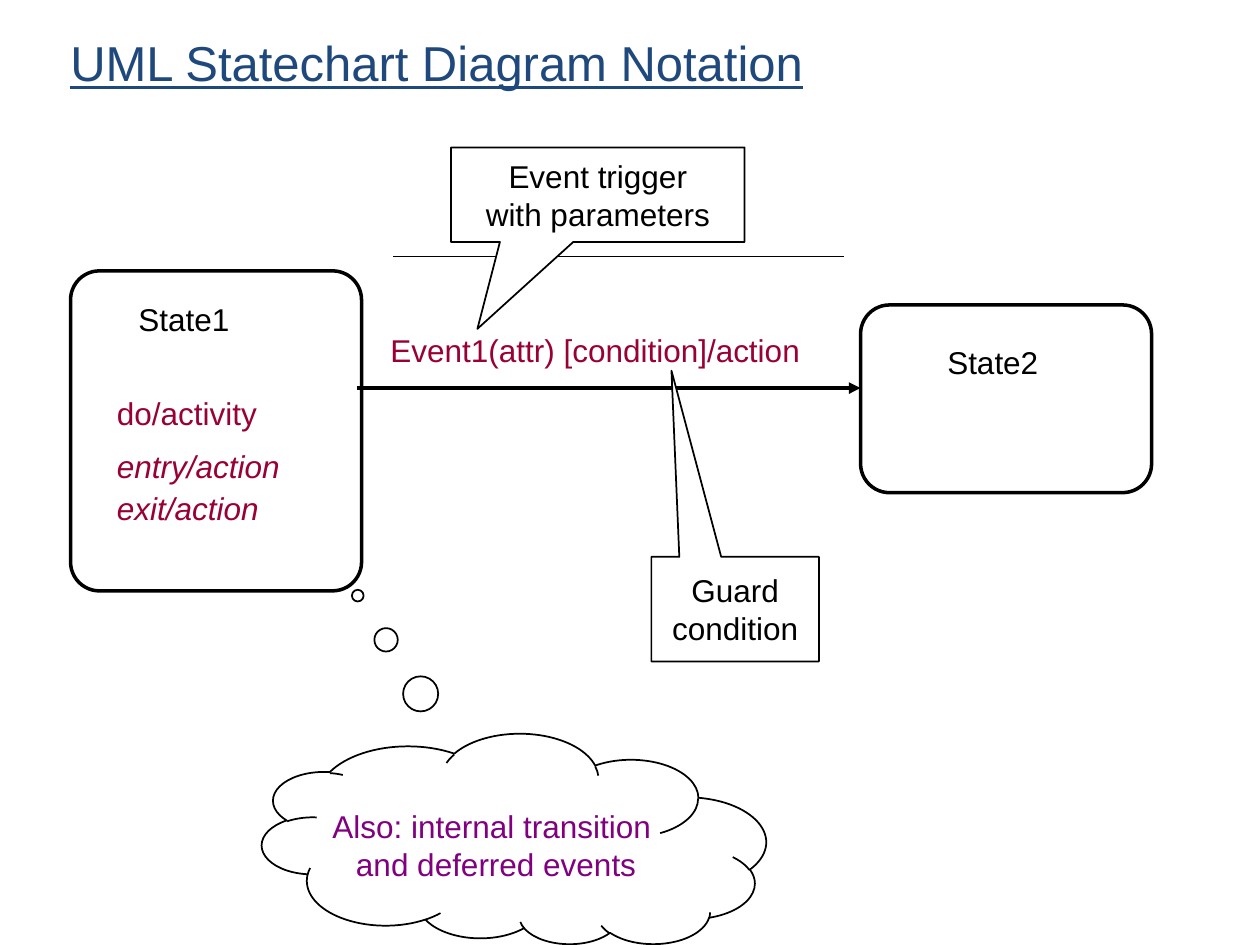
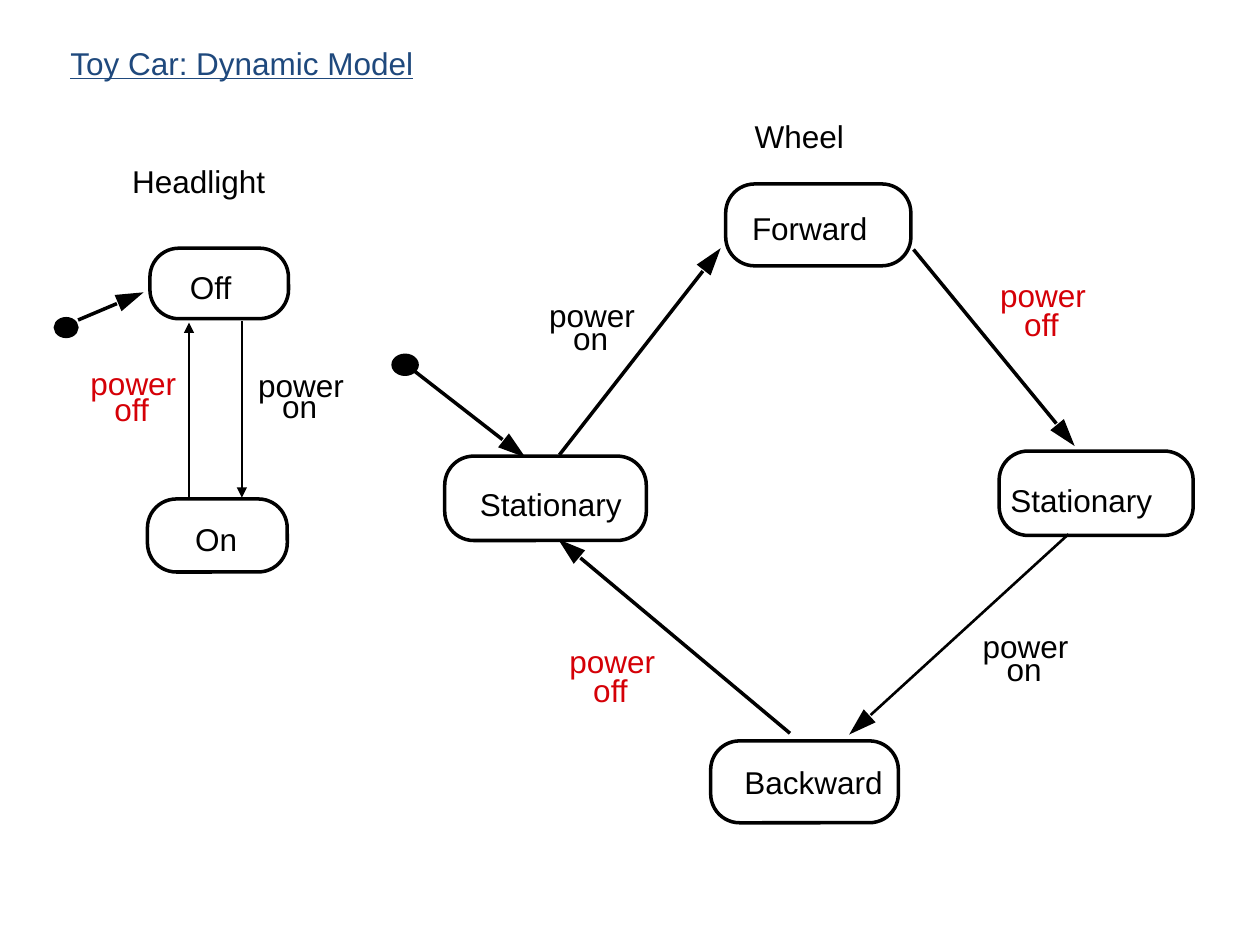
from dataclasses import dataclass
from math import hypot

from lxml.etree import SubElement
from pptx import Presentation
from pptx.dml.color import RGBColor
from pptx.enum.shapes import MSO_CONNECTOR, MSO_SHAPE
from pptx.enum.text import MSO_ANCHOR, MSO_AUTO_SIZE, PP_ALIGN
from pptx.oxml.ns import qn
from pptx.shapes.autoshape import Shape
from pptx.shapes.connector import Connector
from pptx.slide import Slide
from pptx.text.text import TextFrame
from pptx.util import Inches, Pt

FONT = "Arial"
BLACK = "000000"
WHITE = "FFFFFF"
NAVY = "1F497D"
CRIMSON = "990033"
PURPLE = "800080"
RED = "D50007"
CORNER_RADIUS = 0.23
HEAD_LENGTH = 0.22
HEAD_HALF_WIDTH = 0.07

Point = tuple[float, float]


@dataclass
class Label:
    text: str
    left: float
    top: float
    width: float
    color: str = BLACK
    italic: bool = False


@dataclass
class State:
    left: float
    top: float
    width: float
    height: float
    label: Label
    fill: str | None = None


@dataclass
class Callout:
    shape: MSO_SHAPE
    left: float
    top: float
    width: float
    height: float
    tail: Point
    lines: tuple[str, ...]
    color: str = BLACK
    flipped: bool = False


@dataclass
class PowerLabel:
    """The word "power" with "on" or "off" a little below it."""
    switch: str
    left: float
    top: float
    drop: float


@dataclass
class Transition:
    start: Point
    tip: Point
    weight: float = 2


@dataclass
class InitialState:
    left: float
    top: float
    width: float
    height: float


TITLES = ("UML Statechart Diagram Notation", 28), ("Toy Car: Dynamic Model", 18)

NOTATION_STATES = [
    State(6.83, 2.42, 2.31, 1.49, Label("State2", 7.42, 2.67, 1.2)),
    State(0.56, 2.15, 2.31, 2.54, Label("State1", 1, 2.33, 1.2), WHITE),
]
NOTATION_LABELS = [
    Label("Event1(attr) [condition]/action", 3, 2.58, 3.75, CRIMSON),
    Label("do/activity", 0.83, 3.08, 1.43, CRIMSON),
    Label("entry/action", 0.83, 3.5, 1.61, CRIMSON, True),
    Label("exit/action", 0.83, 3.83, 1.43, CRIMSON, True),
]
INTERNAL_NOTE = Callout(
    MSO_SHAPE.CLOUD_CALLOUT, 2.08, 5.83, 4, 1.67, (-0.31, 1.16),
    ("Also: internal transition ", "and deferred events"), PURPLE, True)
EVENT_NOTE = Callout(
    MSO_SHAPE.RECTANGULAR_CALLOUT, 3.58, 1.17, 2.33, 0.75, (-0.41, 1.42),
    ("Event trigger", "with parameters"))
GUARD_NOTE = Callout(
    MSO_SHAPE.RECTANGULAR_CALLOUT, 5.17, 4.42, 1.33, 0.83, (-0.38, 2.28),
    ("Guard", "condition"), flipped=True)

CAR_STATES = [
    State(5.76, 1.46, 1.47, 0.65, Label("Forward", 5.87, 1.61, 1.18)),
    State(5.64, 5.88, 1.49, 0.65, Label("Backward", 5.81, 6.01, 1.38)),
    State(3.53, 3.62, 1.6, 0.67, Label("Stationary", 3.71, 3.8, 1.42)),
    State(7.93, 3.58, 1.54, 0.67, Label("Stationary", 7.92, 3.77, 1.42)),
    State(1.19, 1.97, 1.1, 0.56, Label("Off", 1.41, 2.08, 0.56)),
    State(1.17, 3.96, 1.11, 0.58, Label("On", 1.45, 4.08, 0.55)),
]
CAR_HEADINGS = [
    Label("Wheel", 5.89, 0.88, 1.18),
    Label("Headlight", 0.95, 1.24, 1.72),
]
POWER_LABELS = [
    PowerLabel("on", 7.7, 4.93, 0.18),
    PowerLabel("off", 7.84, 2.14, 0.23),
    PowerLabel("off", 4.42, 5.05, 0.23),
    PowerLabel("on", 4.26, 2.3, 0.18),
    PowerLabel("on", 1.95, 2.86, 0.16),
    PowerLabel("off", 0.62, 2.84, 0.21),
]
TRANSITIONS = [
    Transition((7.25, 1.98), (8.53, 3.54)),
    Transition((8.48, 4.24), (6.74, 5.83), 1.5),
    Transition((4.44, 3.61), (5.72, 1.97)),
    Transition((6.27, 5.82), (4.43, 4.28)),
    Transition((3.27, 2.93), (4.17, 3.63)),
    Transition((0.62, 2.54), (1.14, 2.32)),
]
INITIAL_STATES = [
    InitialState(3.12, 2.82, 0.19, 0.15),
    InitialState(0.44, 2.53, 0.17, 0.14),
]


def rgb(color: str) -> RGBColor:
    return RGBColor.from_string(color)


def style_shape(shape: Shape, fill: str | None, weight: float = 0) -> None:
    shape.shadow.inherit = False
    if fill:
        shape.fill.solid()
        shape.fill.fore_color.rgb = rgb(fill)
    else:
        shape.fill.background()
    if weight:
        shape.line.color.rgb = rgb(BLACK)
        shape.line.width = Pt(weight)
    else:
        shape.line.fill.background()


def write_lines(frame: TextFrame, lines: tuple[str, ...], color: str, size: float = 18,
                italic: bool = False, underline: bool = False,
                align: PP_ALIGN = PP_ALIGN.LEFT) -> None:
    for index, line in enumerate(lines):
        para = frame.add_paragraph() if index else frame.paragraphs[0]
        para.alignment = align
        span = para.add_run()
        span.text = line
        span.font.name = FONT
        span.font.size = Pt(size)
        span.font.color.rgb = rgb(color)
        if italic:
            span.font.italic = True
        if underline:
            span.font.underline = True


def add_title(page: Slide, text: str, size: float) -> None:
    box = page.shapes.add_textbox(Inches(0.46), Inches(0.24), Inches(8.92), Inches(0.51))
    box.text_frame.word_wrap = True
    box.text_frame.vertical_anchor = MSO_ANCHOR.MIDDLE
    write_lines(box.text_frame, (text,), NAVY, size, underline=True)


def add_label(page: Slide, label: Label) -> None:
    box = page.shapes.add_textbox(
        Inches(label.left), Inches(label.top), Inches(label.width), Inches(0.4))
    box.text_frame.word_wrap = False
    box.text_frame.auto_size = MSO_AUTO_SIZE.SHAPE_TO_FIT_TEXT
    write_lines(box.text_frame, (label.text,), label.color, italic=label.italic)


def add_power_label(page: Slide, power: PowerLabel) -> None:
    color = RED if power.switch == "off" else BLACK
    add_label(page, Label("power", power.left, power.top, 0.93, color))
    add_label(page, Label(power.switch, power.left + 0.19, power.top + power.drop, 0.52, color))


def add_state(page: Slide, state: State) -> None:
    shape = page.shapes.add_shape(
        MSO_SHAPE.ROUNDED_RECTANGLE, Inches(state.left), Inches(state.top),
        Inches(state.width), Inches(state.height))
    shape.adjustments[0] = CORNER_RADIUS / min(state.width, state.height)
    style_shape(shape, state.fill, 2)
    add_label(page, state.label)


def add_callout(page: Slide, callout: Callout) -> None:
    shape = page.shapes.add_shape(
        callout.shape, Inches(callout.left), Inches(callout.top),
        Inches(callout.width), Inches(callout.height))
    shape.adjustments[0], shape.adjustments[1] = callout.tail
    style_shape(shape, WHITE, 1)
    frame = shape.text_frame
    frame.word_wrap = False
    frame.vertical_anchor = MSO_ANCHOR.MIDDLE
    if callout.flipped:
        shape._element.spPr.find(qn("a:xfrm")).set("flipV", "1")
        frame._txBody.find(qn("a:bodyPr")).set("rot", "10800000")
    write_lines(frame, callout.lines, callout.color, align=PP_ALIGN.CENTER)


def add_line(page: Slide, start: Point, end: Point, weight: float,
             arrow: bool = False) -> Connector:
    line = page.shapes.add_connector(
        MSO_CONNECTOR.STRAIGHT, *(Inches(value) for value in (*start, *end)))
    line.line.color.rgb = rgb(BLACK)
    line.line.width = Pt(weight)
    if arrow:
        SubElement(line.line._get_or_add_ln(), qn("a:tailEnd"), type="triangle")
    SubElement(line._element.spPr, qn("a:effectLst"))
    return line


def add_transition(page: Slide, transition: Transition) -> None:
    """Draw a shaft and a large slender arrowhead ending at the tip."""
    (start_x, start_y), (tip_x, tip_y) = transition.start, transition.tip
    length = hypot(tip_x - start_x, tip_y - start_y)
    along_x, along_y = (tip_x - start_x) / length, (tip_y - start_y) / length
    base_x, base_y = tip_x - HEAD_LENGTH * along_x, tip_y - HEAD_LENGTH * along_y
    add_line(page, transition.start, (base_x - 0.01 * along_x, base_y - 0.01 * along_y),
             transition.weight)
    side_x, side_y = -HEAD_HALF_WIDTH * along_y, HEAD_HALF_WIDTH * along_x
    builder = page.shapes.build_freeform(Inches(tip_x), Inches(tip_y))
    corners = (base_x + side_x, base_y + side_y), (base_x - side_x, base_y - side_y)
    builder.add_line_segments([(Inches(x), Inches(y)) for x, y in corners])
    style_shape(builder.convert_to_shape(), BLACK)


def add_initial_state(page: Slide, dot: InitialState) -> None:
    shape = page.shapes.add_shape(
        MSO_SHAPE.OVAL, Inches(dot.left), Inches(dot.top),
        Inches(dot.width), Inches(dot.height))
    style_shape(shape, BLACK, 2)


def draw_notation(page: Slide) -> None:
    add_line(page, (3.12, 2.03), (6.7, 2.03), 0.25)
    for state in NOTATION_STATES:
        add_state(page, state)
    for label in NOTATION_LABELS:
        add_label(page, label)
    add_callout(page, INTERNAL_NOTE)
    add_callout(page, EVENT_NOTE)
    add_line(page, (2.83, 3.08), (6.83, 3.08), 2.25, arrow=True)
    add_callout(page, GUARD_NOTE)


def draw_toy_car(page: Slide) -> None:
    for state in CAR_STATES:
        add_state(page, state)
    for heading in CAR_HEADINGS:
        add_label(page, heading)
    for transition in TRANSITIONS:
        add_transition(page, transition)
    for power in POWER_LABELS:
        add_power_label(page, power)
    for dot in INITIAL_STATES:
        add_initial_state(page, dot)
    add_line(page, (1.92, 2.55), (1.92, 3.95), 1, arrow=True)
    add_line(page, (1.5, 3.97), (1.5, 2.56), 1, arrow=True)


def main() -> None:
    deck = Presentation()
    deck.slide_width, deck.slide_height = Inches(10), Inches(7.5)
    for (title, size), draw in zip(TITLES, (draw_notation, draw_toy_car)):
        page = deck.slides.add_slide(deck.slide_layouts[6])
        add_title(page, title, size)
        draw(page)
    deck.save("out.pptx")


if __name__ == "__main__":
    main()
